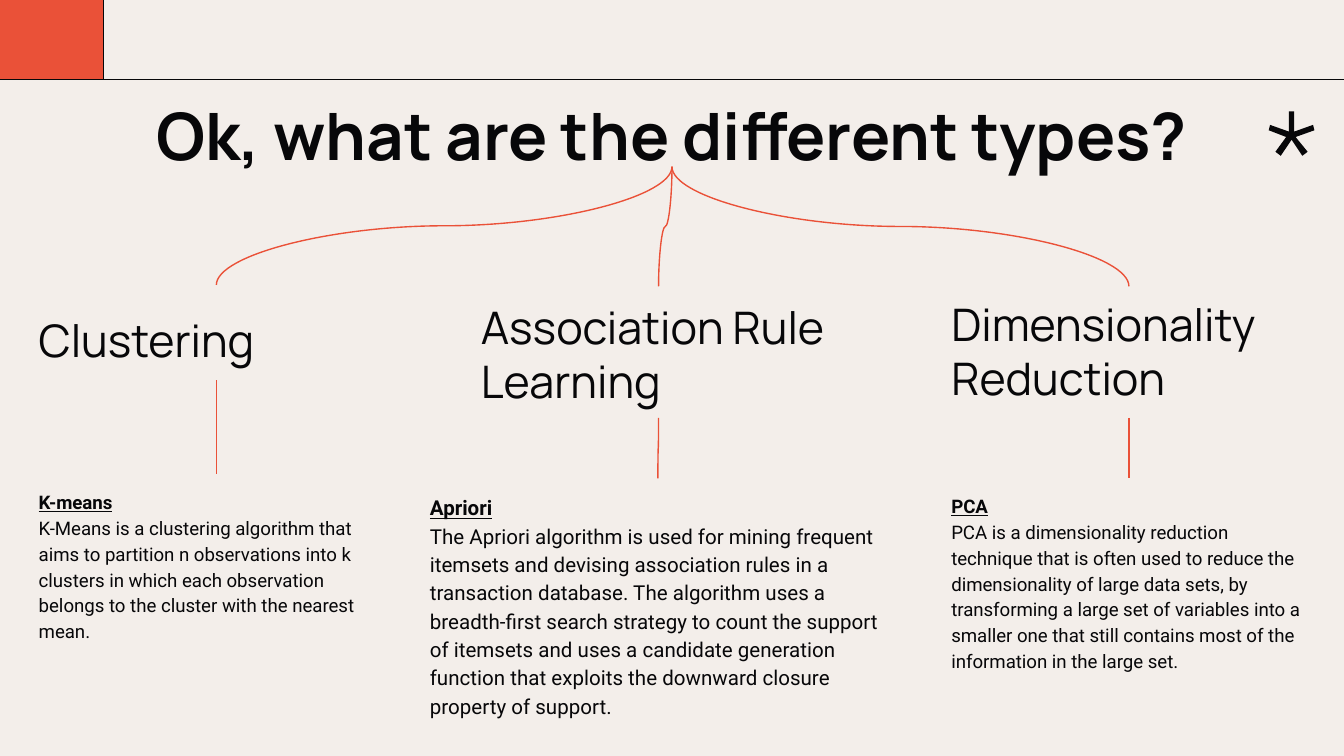
from pptx import Presentation
from pptx.dml.color import RGBColor
from pptx.enum import shapes, text
from pptx.oxml import ns
from pptx.util import Inches, Pt
from lxml import etree

INK = RGBColor(0x07, 0x07, 0x09)
RED = RGBColor(0xEA, 0x51, 0x38)
SAND = RGBColor(0xF3, 0xEE, 0xEA)

HEAD = dict(name="Manrope", size=Pt(24))
TITLE = dict(name="Manrope", size=Pt(35), bold=True)
STAR = [(959, 83), (959, 98), (945, 93), (944, 97), (957, 102),
        (949, 113), (953, 116), (961, 104), (969, 116), (973, 113),
        (964, 102), (978, 97), (977, 93), (963, 98), (963, 83)]

TYPES = [
    dict(head=["Clustering"], box=(0.19, 2.12, 2.84, 0.71), low=True,
         name="K-means", area=(0.19, 3.53, 2.84, 1.99), size=10,
         body="K-Means is a clustering algorithm that aims to partition n "
              "observations into k clusters in which each observation belongs "
              "to the cluster with the nearest mean."),
    dict(head=["Association Rule", "Learning"], box=(3.48, 2.13, 2.84, 0.98), low=False,
         name="Apriori", area=(3.1, 3.56, 3.59, 1.93), size=11,
         body="The Apriori algorithm is used for mining frequent itemsets and "
              "devising association rules in a transaction database. The "
              "algorithm uses a breadth-first search strategy to count the "
              "support of itemsets and uses a candidate generation function "
              "that exploits the downward closure property of support."),
    dict(head=["Dimensionality", "Reduction"], box=(6.98, 2.13, 2.84, 0.98), low=True,
         name="PCA", area=(6.98, 3.56, 2.84, 1.48), size=10,
         body="PCA is a dimensionality reduction technique that is often used "
              "to reduce the dimensionality of large data sets, by transforming "
              "a large set of variables into a smaller one that still contains "
              "most of the information in the large set."),
]


def style(item, values):
    for key, value in values.items():
        setattr(item, key, value)


def paint(shape, fill, line=None):
    shape.shadow.inherit = False
    shape.fill.solid()
    shape.fill.fore_color.rgb = fill
    if line is None:
        shape.line.fill.background()
    else:
        shape.line.color.rgb = line
        shape.line.width = Pt(0.75)


def write(shape, rows, low=False, **layout):
    frame = shape.text_frame
    inset = Inches(0.1)
    style(frame, dict(word_wrap=True, auto_size=text.MSO_AUTO_SIZE.NONE,
                      vertical_anchor=text.MSO_ANCHOR.BOTTOM if low else text.MSO_ANCHOR.TOP,
                      margin_left=inset, margin_right=inset,
                      margin_top=inset, margin_bottom=inset))
    for i, (words, font) in enumerate(rows):
        para = frame.paragraphs[0] if i == 0 else frame.add_paragraph()
        style(para, layout)
        run = para.add_run()
        run.text = words
        style(run.font, font)
        run.font.color.rgb = INK


def add_text(slide, box, rows, **layout):
    shape = slide.shapes.add_textbox(*map(Inches, box))
    write(shape, rows, **layout)
    return shape


def add_line(slide, kind, ends, color):
    line = slide.shapes.add_connector(kind, *ends)
    line.line.color.rgb = color
    line.line.width = Pt(0.75)
    etree.SubElement(line._element.spPr, ns.qn("a:effectLst"))
    return line


def add_link(slide, top, end):
    x1, y1 = top.left + top.width // 2, top.top + top.height
    x2, y2 = end.left + end.width // 2, end.top
    line = add_line(slide, shapes.MSO_CONNECTOR.CURVE, (x1, y1, x2, y2), RED)
    line.begin_connect(top, 2)
    line.end_connect(end, 0)
    wide, tall = abs(x2 - x1), y2 - y1
    style(line, dict(left=(x1 + x2 - tall) // 2, top=(y1 + y2 - wide) // 2,
                     width=tall, height=wide))
    frame = line._element.spPr.find(ns.qn("a:xfrm"))
    right = x2 > x1
    frame.set("rot", str((270 if right else 90) * 60000))
    frame.set("flipH", "1" if right else "0")


def add_decor(slide):
    add_line(slide, shapes.MSO_CONNECTOR.STRAIGHT,
             map(Inches, (0, 0.59, 10.03, 0.59)), INK)
    block = slide.shapes.add_shape(shapes.MSO_SHAPE.RECTANGLE,
                                   *map(Inches, (-0.02, -0.2, 0.79, 0.79)))
    paint(block, RED, INK)
    pen = slide.shapes.build_freeform(*STAR[0], scale=Inches(0.01))
    pen.add_line_segments(STAR[1:], close=True)
    paint(pen.convert_to_shape(), INK)


def add_title(slide, words):
    title = slide.shapes.title
    left, top, width, height = map(Inches, (0.78, 0.61, 8.44, 0.63))
    style(title, dict(left=left, top=top, width=width, height=height))
    write(title, [(words, TITLE)], alignment=text.PP_ALIGN.CENTER)
    return title


def add_type(slide, title, kind):
    head = add_text(slide, kind["box"], [(row, HEAD) for row in kind["head"]],
                    low=kind["low"])
    font = dict(name="Roboto", size=Pt(kind["size"]))
    body = add_text(slide, kind["area"],
                    [(kind["name"], dict(font, bold=True, underline=True)),
                     (kind["body"], font)], line_spacing=1.15)
    add_link(slide, title, head)
    add_link(slide, head, body)


def main():
    deck = Presentation()
    style(deck, dict(slide_width=Inches(10), slide_height=Inches(10) * 9 // 16))
    slide = deck.slides.add_slide(deck.slide_layouts[5])
    slide.background.fill.solid()
    slide.background.fill.fore_color.rgb = SAND
    add_decor(slide)
    title = add_title(slide, "Ok, what are the different types?")
    for kind in TYPES:
        add_type(slide, title, kind)
    deck.save("out.pptx")


if __name__ == "__main__":
    main()
